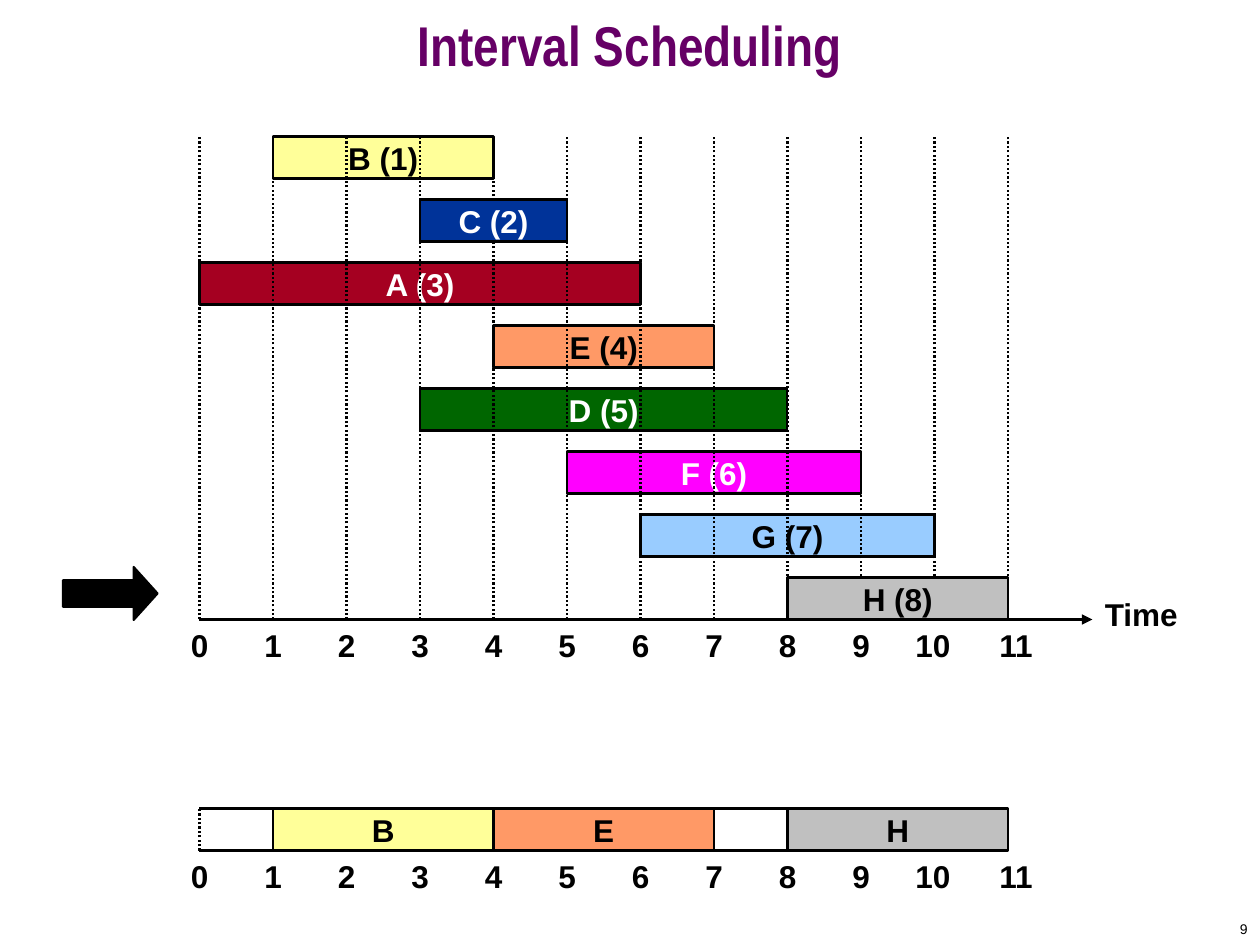
"""Build the interval scheduling slide: jobs on a time grid and the chosen schedule."""
from pptx import Presentation
from pptx import util as u
from pptx.dml.color import RGBColor
from pptx.enum import dml, shapes, text
from pptx.oxml.ns import qn
from lxml import etree

TITLE = "Interval Scheduling"
HUES = {"title": "660066", "ink": "000000", "paper": "FFFFFF", "A": "A50021", "B": "FFFF99",
        "C": "003399", "D": "006600", "E": "FF9966", "F": "FF00FF", "G": "99CCFF", "H": "C0C0C0"}
JOBS = [("B", 1, 4), ("C", 3, 5), ("A", 0, 6), ("E", 4, 7),
        ("D", 3, 8), ("F", 5, 9), ("G", 6, 10), ("H", 8, 11)]
PICKED = "BEH"
ON_TOP = "CH"
PALE = "BEGH"
LAST = 11
LEFT, STEP = 19 / 12, 7 / 12
TOP, PITCH, BAR = 13 / 12, 0.5, 1 / 3
AXIS, BASE = 59 / 12, 6.75

deck = Presentation()
deck.slide_width, deck.slide_height = u.Inches(10), u.Inches(7.5)
slide = deck.slides.add_slide(deck.slide_layouts[5])
items = slide.shapes


def hue(name):
    return RGBColor.from_string(HUES[name])


def x_at(time):
    return LEFT + time * STEP


def box(*nums):
    return [u.Inches(n) for n in nums]


def write(shape, words, size=18, font="Arial", color="ink", bold=True, align="LEFT",
          anchor="TOP", wrap=True, before=None, lead=None):
    frame = shape.text_frame
    frame.word_wrap = wrap
    frame.auto_size = text.MSO_AUTO_SIZE.NONE
    frame.vertical_anchor = getattr(text.MSO_ANCHOR, anchor)
    para = frame.paragraphs[0]
    para.alignment = getattr(text.PP_ALIGN, align)
    if before is not None:
        para.space_before = u.Pt(before)
    if lead is not None:
        para.line_spacing = lead
    run = para.add_run()
    run.text = words
    run.font.size, run.font.name, run.font.bold = u.Pt(size), font, bold
    run.font.color.rgb = hue(color)


def label(words, x, y, wide=0.5):
    write(items.add_textbox(*box(x, y, wide, 0.4)), words, before=11.2)


def line(x1, y1, x2, y2, dotted=False, arrow=False):
    rule = items.add_connector(shapes.MSO_CONNECTOR.STRAIGHT, *box(x1, y1, x2, y2))
    rule.line.color.rgb, rule.line.width = hue("ink"), u.Pt(1.25)
    if dotted:
        rule.line.dash_style = dml.MSO_LINE.ROUND_DOT
    props = rule._element.spPr
    if arrow:
        etree.SubElement(props.find(qn("a:ln")), qn("a:tailEnd"), type="triangle")
    etree.SubElement(props, qn("a:effectLst"))


def solid(kind, place, color):
    shape = items.add_shape(kind, *box(*place))
    shape.shadow.inherit = False
    shape.fill.solid()
    shape.fill.fore_color.rgb = hue(color)
    shape.line.color.rgb, shape.line.width = hue("ink"), u.Pt(1.25)
    return shape


def bar(job, start, end, y, words):
    place = (x_at(start), y, (end - start) * STEP, BAR)
    write(solid(shapes.MSO_SHAPE.RECTANGLE, place, job), words, align="CENTER",
          anchor="MIDDLE", wrap=False, color="ink" if job in PALE else "paper")


def grid(top, base):
    for time in range(LAST + 1):
        line(x_at(time), base, x_at(time), top, dotted=True)
        label(str(time), x_at(time) - (0.25 if time == 10 else 1 / 6), base)


def stack(front):
    for row, (job, start, end) in enumerate(JOBS):
        if (job in ON_TOP) == front:
            bar(job, start, end, TOP + row * PITCH, f"{job} ({row + 1})")


head = items.title
head.left, head.top, head.width, head.height = box(0, 0, 10, 0.83)
write(head, TITLE, size=32, font="Arial Narrow", color="title", align="CENTER",
      anchor="MIDDLE", lead=0.7)

line(LEFT, AXIS, 8.67, AXIS, arrow=True)
label("Time", 8.67, 4.67, wide=0.92)
stack(front=False)
grid(TOP, AXIS)
stack(front=True)

pointer = solid(shapes.MSO_SHAPE.RIGHT_ARROW, (0.5, 4.5, 0.75, 0.42), "ink")
pointer.adjustments[0], pointer.adjustments[1] = 0.5, 0.45

grid(BASE - BAR, BASE)
for y in (BASE, BASE - BAR):
    line(LEFT, y, x_at(LAST), y)
for job, start, end in JOBS:
    if job in PICKED:
        bar(job, start, end, BASE - BAR, job)

write(items.add_textbox(*box(7.92, 7.25, 2.08, 0.25)), "9", size=8, bold=False,
      align="RIGHT", anchor="MIDDLE")
deck.save("out.pptx")
